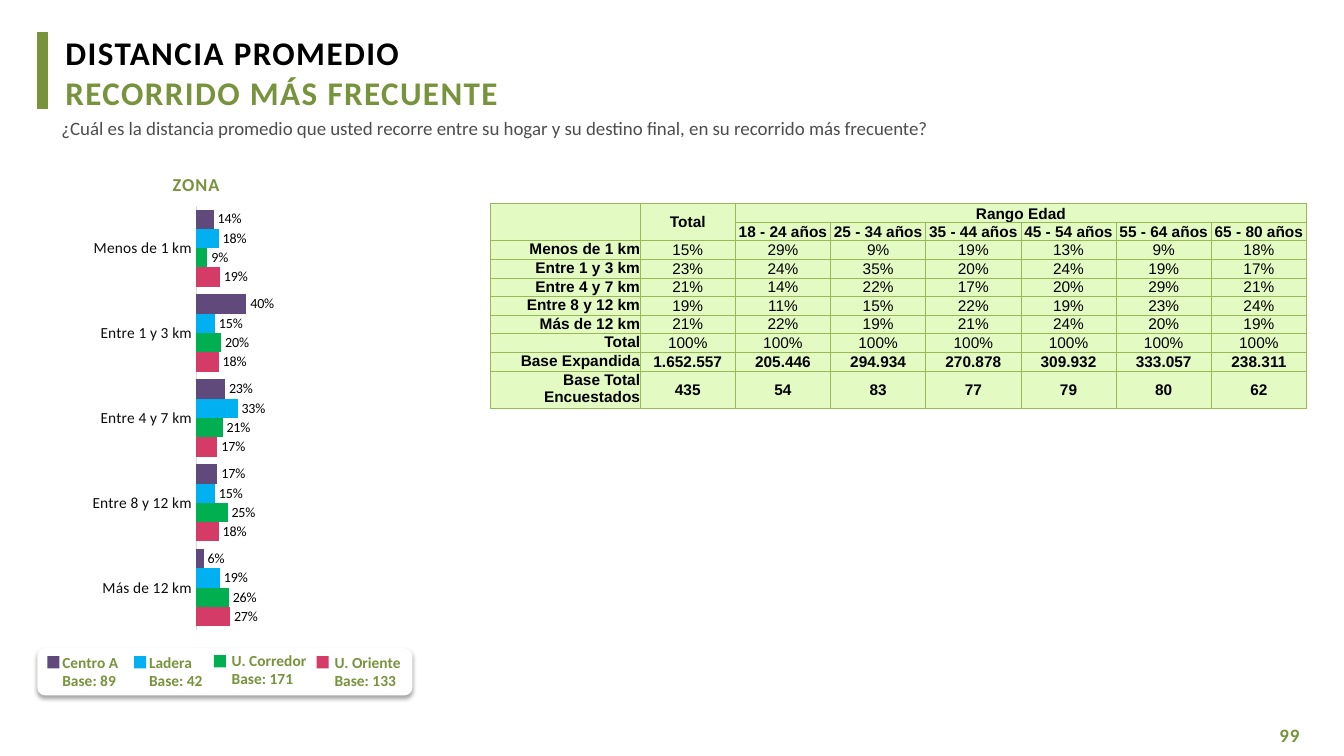
from lxml.etree import SubElement
from pptx import Presentation
from pptx.chart.data import CategoryChartData
from pptx.dml.color import RGBColor
from pptx.enum.chart import XL_CHART_TYPE as ChartType, XL_LABEL_POSITION as LabelPosition
from pptx.enum.chart import XL_TICK_LABEL_POSITION as TickLabels, XL_TICK_MARK as TickMark
from pptx.enum.shapes import MSO_SHAPE as Shape
from pptx.enum.text import MSO_ANCHOR as Anchor, MSO_AUTO_SIZE as AutoSize, PP_ALIGN as Align
from pptx.oxml import parse_xml
from pptx.oxml.ns import nsdecls, qn
from pptx.util import Inches, Pt

GREEN = RGBColor(0x77, 0x93, 0x3C)
BLACK = RGBColor(0, 0, 0)
WHITE = RGBColor(255, 255, 255)
GRAY = RGBColor(0x4D, 0x4D, 0x4D)
CATEGORY_INK = RGBColor(0x0D, 0x0D, 0x0D)
AXIS_GRAY = RGBColor(0xD9, 0xD9, 0xD9)
CELL_GREEN = RGBColor(0xE3, 0xFA, 0xC3)
BORDER_GREEN = RGBColor(0x98, 0xB9, 0x55)
PURPLE = RGBColor(0x60, 0x4A, 0x7B)
BLUE = RGBColor(0, 0xB0, 0xF0)
EMERALD = RGBColor(0, 0xB0, 0x50)
CRIMSON = RGBColor(0xD5, 0x3B, 0x67)

DISTANCES = ["Menos de 1 km", "Entre 1 y 3 km", "Entre 4 y 7 km", "Entre 8 y 12 km", "Más de 12 km"]
ZONES = [
    ("Centro A", PURPLE, (0.14, 0.4, 0.23, 0.17, 0.06)),
    ("Ladera", BLUE, (0.18, 0.15, 0.33, 0.15, 0.19)),
    ("U. Corredor", EMERALD, (0.09, 0.2, 0.21, 0.25, 0.26)),
    ("U. Oriente", CRIMSON, (0.19, 0.18, 0.17, 0.18, 0.27)),
]
LEGEND = [
    ("Base: 89", 0.47, 6.51, 0.52, 6.43, 0.76),
    ("Base: 42", 1.33, 6.51, 1.38, 6.43, 0.74),
    ("Base: 171", 2.12, 6.5, 2.2, 6.41, 0.95),
    ("Base: 133", 3.14, 6.51, 3.22, 6.43, 0.87),
]
AGES = ["18 - 24 años", "25 - 34 años", "35 - 44 años", "45 - 54 años", "55 - 64 años", "65 - 80 años"]
SHARES = [
    (15, 29, 9, 19, 13, 9, 18),
    (23, 24, 35, 20, 24, 19, 17),
    (21, 14, 22, 17, 20, 29, 21),
    (19, 11, 15, 22, 19, 23, 24),
    (21, 22, 19, 21, 24, 20, 19),
    (100,) * 7,
]
EXPANDED = ["1.652.557", "205.446", "294.934", "270.878", "309.932", "333.057", "238.311"]
SURVEYED = ["435", "54", "83", "77", "79", "80", "62"]


def style_font(font, size, color, bold=False, face="Calibri"):
    font.name, font.size, font.bold = face, Pt(size), bold
    font.color.rgb = color


def add_run(paragraph, text, size, color, bold=False, face="Calibri", spacing=0):
    run = paragraph.add_run()
    run.text = text
    style_font(run.font, size, color, bold, face)
    if spacing:
        run.font._element.set("spc", str(round(spacing * 100)))


def add_text(shapes, box, lines, size, bold=False, spacing=0, align=Align.LEFT, indent=0.01, gap=0, tight=True):
    textbox = shapes.add_textbox(*map(Inches, box))
    frame = textbox.text_frame
    frame.word_wrap = tight
    frame.auto_size = AutoSize.SHAPE_TO_FIT_TEXT
    if tight:
        frame.margin_left = frame.margin_right = frame.margin_bottom = 0
        frame.margin_top = Inches(0.01)
    for index, (text, color) in enumerate(lines):
        paragraph = frame.add_paragraph() if index else frame.paragraphs[0]
        paragraph.alignment = align
        if indent:
            paragraph._p.get_or_add_pPr().set("marL", str(Inches(indent)))
        if index and gap:
            paragraph.space_before = Pt(gap)
        add_run(paragraph, text, size, color, bold, spacing=spacing)


def add_block(shapes, kind, box, color):
    block = shapes.add_shape(kind, *map(Inches, box))
    block.shadow.inherit = False
    block.fill.solid()
    block.fill.fore_color.rgb = color
    block.line.fill.background()
    return block


def add_accent_bar(shapes):
    builder = shapes.build_freeform(Inches(0.47), Inches(0.32))
    corners = [(0.37, 0.32), (0.37, 1.08), (0.47, 1.08)]
    builder.add_line_segments([(Inches(x), Inches(y)) for x, y in corners], close=True)
    accent = builder.convert_to_shape()
    accent.shadow.inherit = False
    accent.fill.solid()
    accent.fill.fore_color.rgb = accent.line.color.rgb = GREEN
    accent.line.width = Pt(0.75)


def add_legend(slide):
    shapes = slide.shapes.add_group_shape().shapes
    card = add_block(shapes, Shape.ROUNDED_RECTANGLE, (0.37, 6.43, 3.72, 0.47), WHITE)
    effects = card._element.spPr.find(qn("a:effectLst"))
    effects.append(parse_xml(
        f'<a:outerShdw {nsdecls("a")} blurRad="{Pt(3.1)}" dist="{Pt(1.8)}" dir="5400000" rotWithShape="0">'
        '<a:srgbClr val="000000"><a:alpha val="35000"/></a:srgbClr></a:outerShdw>'))
    for (zone, color, _), (base, key_x, key_y, text_x, text_y, width) in zip(ZONES, LEGEND):
        add_block(shapes, Shape.RECTANGLE, (key_x, key_y, 0.12, 0.12), color)
        add_text(shapes, (text_x, text_y, width, 0.47), [(zone, GREEN), (base, GREEN)], 11, True,
                 indent=0, tight=False)


def place_plot(chart, x, y, w, h):
    plot_area = chart._chartSpace.chart.plotArea
    for layout in plot_area.findall(qn("c:layout")):
        plot_area.remove(layout)
    plot_area.insert(0, parse_xml(
        f'<c:layout {nsdecls("c")}><c:manualLayout><c:layoutTarget val="inner"/>'
        '<c:xMode val="edge"/><c:yMode val="edge"/>'
        f'<c:x val="{x}"/><c:y val="{y}"/><c:w val="{w}"/><c:h val="{h}"/>'
        '</c:manualLayout></c:layout>'))


def add_zone_chart(slide):
    data = CategoryChartData(number_format="###0%")
    data.categories = DISTANCES
    for zone, _, values in ZONES:
        data.add_series(zone, values)
    box = map(Inches, (-0.11, 1.86, 3.37, 4.53))
    chart = slide.shapes.add_chart(ChartType.BAR_CLUSTERED, *box, data).chart
    chart.has_legend = chart.has_title = False
    style_font(chart.font, 10, BLACK)
    place_plot(chart, 0.61, 0.04, 0.37, 0.93)
    distances, shares = chart.category_axis, chart.value_axis
    distances.reverse_order = True
    distances.major_tick_mark = distances.minor_tick_mark = TickMark.NONE
    distances.tick_label_position = TickLabels.NEXT_TO_AXIS
    distances.format.line.color.rgb = AXIS_GRAY
    distances.format.line.width = Pt(0.75)
    style_font(distances.tick_labels.font, 11, CATEGORY_INK)
    shares.minimum_scale, shares.maximum_scale = 0, 1
    shares.has_major_gridlines = shares.visible = False
    plot = chart.plots[0]
    plot.gap_width, plot.overlap, plot.vary_by_categories = 40, 0, False
    for series, (_, color, _) in zip(plot.series, ZONES):
        series.format.fill.solid()
        series.format.fill.fore_color.rgb = color
        labels = series.data_labels
        labels.show_value = True
        labels.position = LabelPosition.OUTSIDE_END
        labels.number_format, labels.number_format_is_linked = "###0%", False
        style_font(labels.font, 10, BLACK)


def fill_cell(cell, text, align, anchor, bold):
    cell.margin_left = cell.margin_right = cell.margin_top = cell.margin_bottom = 0
    cell.vertical_anchor = anchor
    properties = cell._tc.get_or_add_tcPr()
    for side in ("lnL", "lnR", "lnT", "lnB"):
        border = SubElement(properties, qn(f"a:{side}"), w=str(Pt(0.75)))
        SubElement(SubElement(border, qn("a:solidFill")), qn("a:srgbClr"), val=str(BORDER_GREEN))
    cell.fill.solid()
    cell.fill.fore_color.rgb = CELL_GREEN
    paragraph = cell.text_frame.paragraphs[0]
    paragraph.alignment = align
    if text:
        add_run(paragraph, text, 11, BLACK, bold, "Arial")
    else:
        SubElement(paragraph._p, qn("a:endParaRPr"), sz="1100")


def add_age_table(slide):
    rows = [["", "Total", "Rango Edad"] + [""] * 5, ["", ""] + AGES]
    rows += [[name] + [f"{share}%" for share in shares] for name, shares in zip(DISTANCES + ["Total"], SHARES)]
    rows += [["Base Expandida"] + EXPANDED, ["Base Total Encuestados"] + SURVEYED]
    box = map(Inches, (4.86, 2.02, 8.1, 1.85))
    table = slide.shapes.add_table(len(rows), len(rows[0]), *box).table
    table.first_row = table.horz_banding = False
    label_width = Inches(1.49)
    for index, column in enumerate(table.columns):
        column.width = (Inches(8.1) - label_width) // 7 if index else label_width
    for r, row in enumerate(rows):
        for c, text in enumerate(row):
            is_label = c == 0 and r > 1
            anchor = Anchor.TOP if c == 0 else Anchor.BOTTOM if r < 2 and c > 1 else Anchor.MIDDLE
            fill_cell(table.cell(r, c), text, Align.RIGHT if is_label else Align.CENTER, anchor, "%" not in text)
    for first, last in (((0, 0), (1, 0)), ((0, 1), (1, 1)), ((0, 2), (0, 7))):
        table.cell(*first).merge(table.cell(*last))


def main():
    deck = Presentation()
    deck.slide_width, deck.slide_height = Inches(13.33), Inches(7.5)
    slide = deck.slides.add_slide(deck.slide_layouts[6])
    shapes = slide.shapes
    add_accent_bar(shapes)
    add_text(shapes, (12.63, 7.17, 0.49, 0.24), [("99", GREEN)], 13.5, True, 0.6, indent=0.06)
    add_text(shapes, (0.76, 1.71, 2.36, 0.23), [("ZONA", GREEN)], 13, True, 0.8, Align.CENTER)
    add_legend(slide)
    add_text(shapes, (0.64, 0.31, 5.6, 0.82),
             [("DISTANCIA PROMEDIO", BLACK), ("RECORRIDO MÁS FRECUENTE", GREEN)], 23.6, True, 1, gap=0.7)
    question = ("¿Cuál es la distancia promedio que usted recorre entre su hogar y su destino final, "
                "en su recorrido más frecuente?")
    add_text(shapes, (0.6, 1.15, 9.93, 0.24), [(question, GRAY)], 13.5)
    add_zone_chart(slide)
    add_age_table(slide)
    deck.save("out.pptx")


if __name__ == "__main__":
    main()
